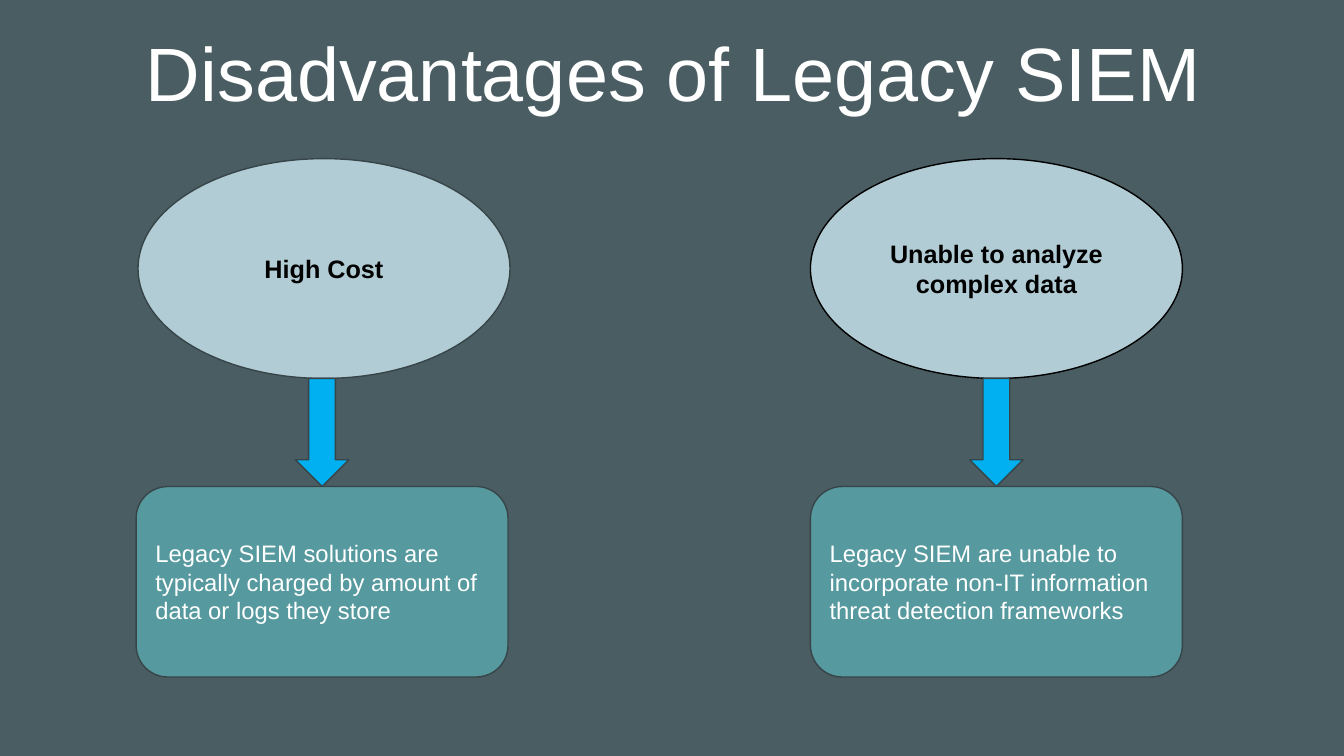
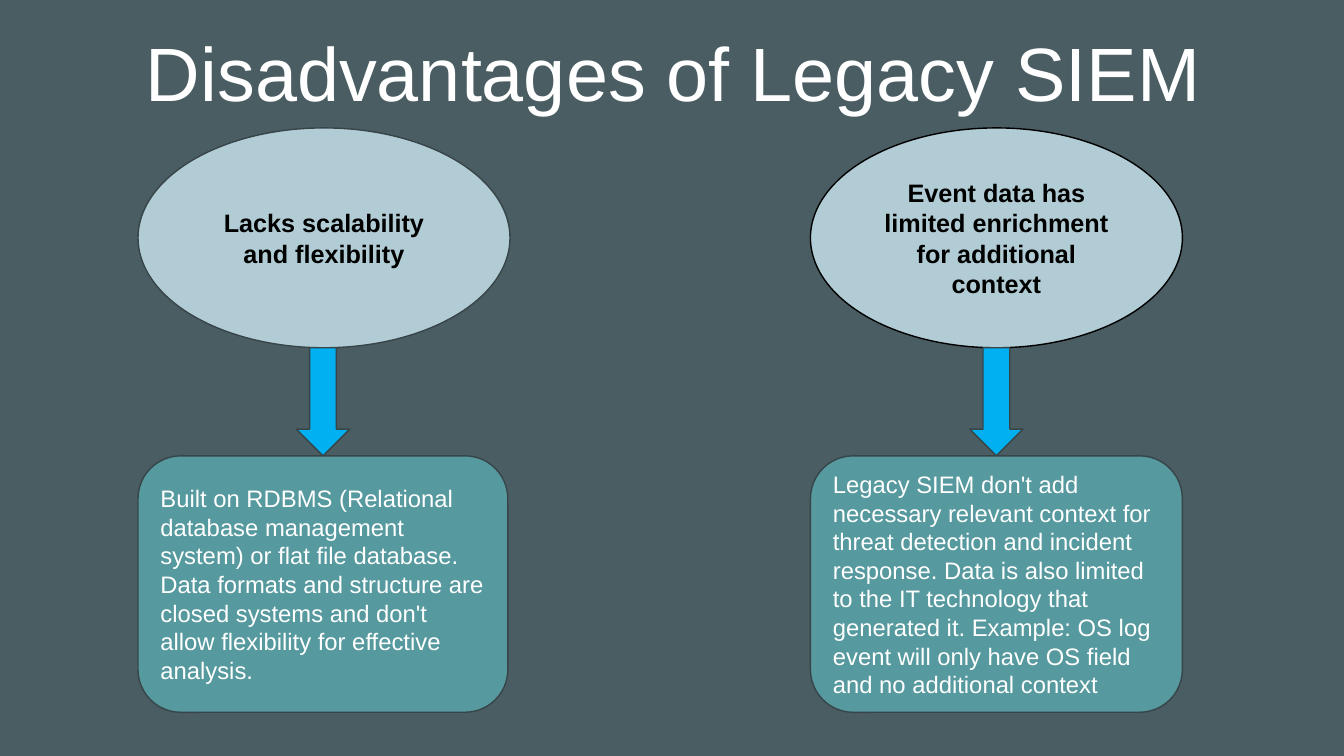
from dataclasses import dataclass

from pptx import Presentation
from pptx.dml.color import RGBColor
from pptx.enum.shapes import MSO_SHAPE as Preset
from pptx.enum.text import MSO_ANCHOR as Anchor, PP_ALIGN as Align
from pptx.presentation import Presentation as Deck
from pptx.shapes.autoshape import Shape
from pptx.slide import Slide
from pptx.util import Pt

FONT = "Arial"
BACKGROUND = "4A5D62"
WHITE = "FFFFFF"
BLACK = "000000"
OUTLINE = "374549"
ELLIPSE_FILL = "B1CCD4"
ARROW_FILL = "00B0F0"
BOX_FILL = "56999E"

TITLE = "Disadvantages of Legacy SIEM"
LEFT_COLUMN, RIGHT_COLUMN = 98.6, 578.9
COLUMN_WIDTH = 265.7
ELLIPSE_HEIGHT = 157
ARROW_WIDTH, ARROW_HEIGHT = 38.2, 77.2


@dataclass(frozen=True)
class Frame:
    left: float
    top: float
    width: float
    height: float


@dataclass(frozen=True)
class Drawback:
    heading: str
    details: tuple[str, ...]
    left: float
    box_left: float
    box_width: float = COLUMN_WIDTH
    outline: str = OUTLINE


@dataclass(frozen=True)
class Page:
    top: float
    box_height: float
    drawbacks: tuple[Drawback, ...]


PAGES = (
    Page(113.3, 136.1, (
        Drawback(
            "High Cost",
            ("Legacy SIEM solutions are typically charged by amount of data or logs they store",),
            LEFT_COLUMN, 97.2,
        ),
        Drawback(
            "Unable to analyze complex data",
            ("Legacy SIEM are unable to incorporate non-IT information threat detection frameworks",),
            RIGHT_COLUMN, RIGHT_COLUMN, outline=BLACK,
        ),
    )),
    Page(91.4, 183.2, (
        Drawback(
            "Lacks scalability and flexibility",
            (
                "Built on RDBMS (Relational database management system) or flat file database.",
                "Data formats and structure are closed systems and don't allow flexibility "
                "for effective analysis.",
            ),
            LEFT_COLUMN, LEFT_COLUMN, 264.2,
        ),
        Drawback(
            "Event data has limited enrichment for additional context",
            (
                "Legacy SIEM don't add necessary relevant context for threat detection and "
                "incident response. Data is also limited to the IT technology that generated it. "
                "Example: OS log event will only have OS field and no additional context",
            ),
            RIGHT_COLUMN, RIGHT_COLUMN, outline=BLACK,
        ),
    )),
)


def color(value: str) -> RGBColor:
    return RGBColor.from_string(value)


def write(shape: Shape, lines: tuple[str, ...], size: float, ink: str,
          align: Align, bold: bool = False) -> None:
    frame = shape.text_frame
    frame.word_wrap = True
    frame.vertical_anchor = Anchor.MIDDLE
    frame.text = "\n".join(lines)
    for paragraph in frame.paragraphs:
        paragraph.alignment = align
        paragraph.font.name = FONT
        paragraph.font.size = Pt(size)
        paragraph.font.bold = bold
        paragraph.font.color.rgb = color(ink)


def add_figure(slide: Slide, preset: Preset, frame: Frame, fill: str,
               outline: str = OUTLINE) -> Shape:
    figure = slide.shapes.add_shape(
        preset, Pt(frame.left), Pt(frame.top), Pt(frame.width), Pt(frame.height))
    figure.shadow.inherit = False
    figure.fill.solid()
    figure.fill.fore_color.rgb = color(fill)
    figure.line.color.rgb = color(outline)
    figure.line.width = Pt(1)
    return figure


def add_title(slide: Slide) -> None:
    title = slide.shapes.title
    title.left, title.top, title.width, title.height = Pt(25.2), Pt(26.6), Pt(911.5), Pt(56.9)
    write(title, (TITLE,), 54, WHITE, Align.CENTER)
    paragraph = title.text_frame.paragraphs[0]
    paragraph.line_spacing = 0.9
    paragraph.space_before = Pt(10)


def add_drawback(slide: Slide, page: Page, drawback: Drawback) -> None:
    arrow_top = page.top + ELLIPSE_HEIGHT
    arrow_left = drawback.box_left + (drawback.box_width - ARROW_WIDTH) / 2
    box_top = arrow_top + ARROW_HEIGHT

    heading = add_figure(
        slide, Preset.OVAL,
        Frame(drawback.left, page.top, COLUMN_WIDTH, ELLIPSE_HEIGHT),
        ELLIPSE_FILL, drawback.outline)
    write(heading, (drawback.heading,), 18, BLACK, Align.CENTER, bold=True)

    add_figure(slide, Preset.DOWN_ARROW,
               Frame(arrow_left, arrow_top, ARROW_WIDTH, ARROW_HEIGHT), ARROW_FILL)

    details = add_figure(
        slide, Preset.ROUNDED_RECTANGLE,
        Frame(drawback.box_left, box_top, drawback.box_width, page.box_height), BOX_FILL)
    write(details, drawback.details, 17, WHITE, Align.LEFT)


def add_page(deck: Deck, page: Page) -> None:
    slide = deck.slides.add_slide(deck.slide_layouts.get_by_name("Title Only"))
    add_title(slide)
    for drawback in page.drawbacks:
        add_drawback(slide, page, drawback)


def main() -> None:
    deck = Presentation()
    deck.slide_width, deck.slide_height = Pt(960), Pt(540)
    backdrop = deck.slide_master.background.fill
    backdrop.solid()
    backdrop.fore_color.rgb = color(BACKGROUND)
    for page in PAGES:
        add_page(deck, page)
    deck.save("out.pptx")


if __name__ == "__main__":
    main()
